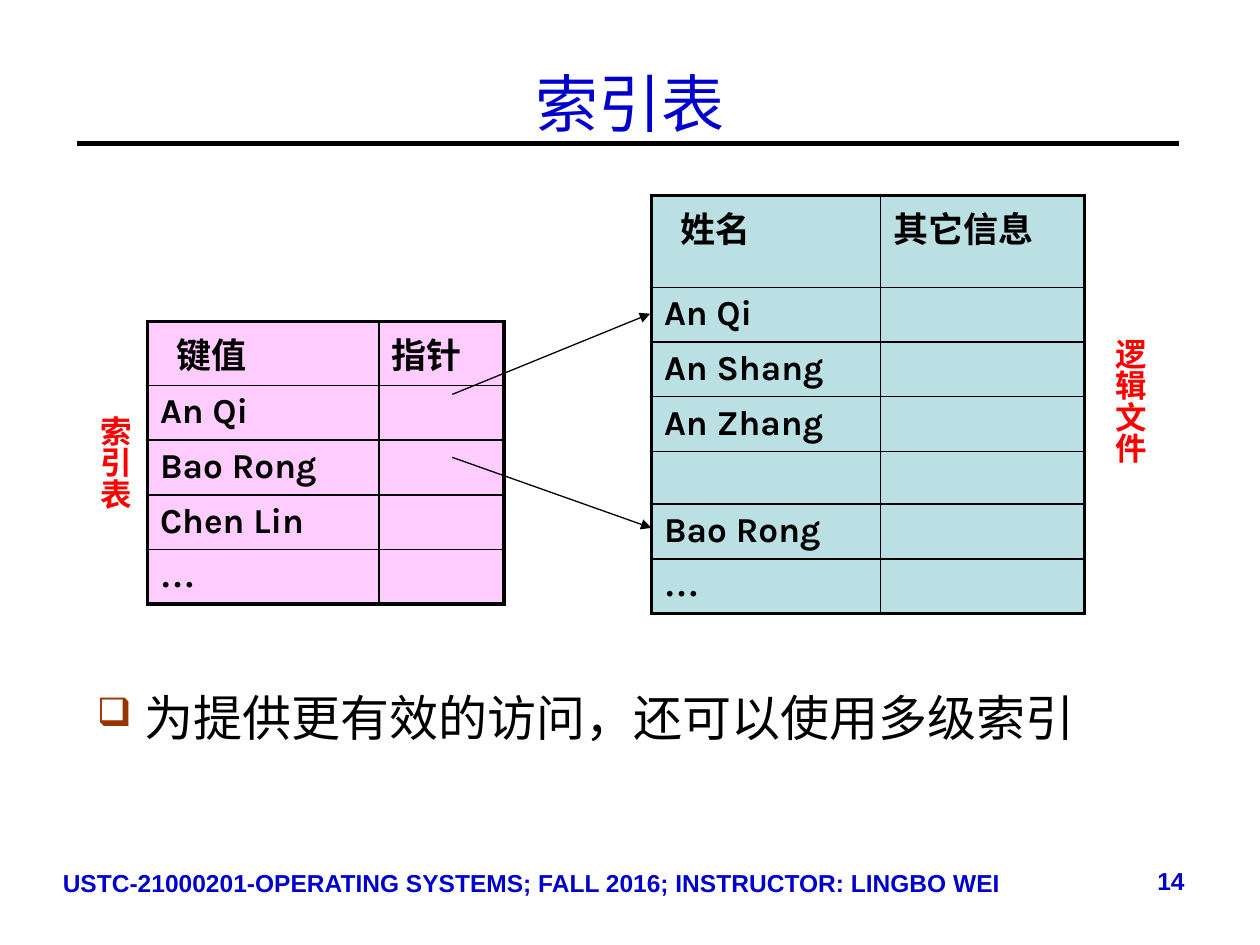
from dataclasses import dataclass

from lxml.etree import SubElement
from pptx import Presentation
from pptx.dml.color import RGBColor
from pptx.enum.shapes import MSO_CONNECTOR as Connector
from pptx.enum.text import MSO_ANCHOR as Anchor, PP_ALIGN as Align
from pptx.oxml import parse_xml
from pptx.oxml.ns import nsdecls, qn
from pptx.util import Inches, Pt

BLACK = RGBColor(0x00, 0x00, 0x00)
BLUE = RGBColor(0x00, 0x00, 0xCC)
RED = RGBColor(0xFF, 0x00, 0x00)
BROWN = RGBColor(0x99, 0x33, 0x00)
PINK = RGBColor(0xFF, 0xCC, 0xFF)
TEAL = RGBColor(0xBB, 0xE0, 0xE3)

THICK, THIN = 2.25, 1
ROW_HEIGHT = 0.42
HEADER_INDENT = 0.23


@dataclass(frozen=True)
class RecordTable:
    left: float
    top: float
    columns: tuple[float, float]
    header_height: float
    headers: tuple[str, str]
    names: tuple[str, ...]
    fill: RGBColor


@dataclass(frozen=True)
class Line:
    start: tuple[float, float]
    end: tuple[float, float]
    width: float
    arrow: bool = False


TABLES = (
    RecordTable(1.17, 2.55, (1.84, 0.99), 0.51, ("键值", "指针"),
                ("An Qi", "Bao Rong", "Chen Lin", "…"), PINK),
    RecordTable(5.17, 1.55, (1.82, 1.62), 0.73, ("姓名", "其它信息"),
                ("An Qi", "An Shang", "An Zhang", "", "Bao Rong", "…"), TEAL),
)
TITLE_RULE = Line((0.61, 1.14), (9.36, 1.14), 3)
POINTERS = (
    Line((3.59, 3.13), (5.16, 2.49), 0.75, arrow=True),
    Line((3.59, 3.63), (5.17, 4.19), 0.75, arrow=True),
)


def write(para, text: str, *, size: float, font: str, color: RGBColor = BLACK,
          bold: bool = False, align=Align.LEFT, before: float = 0) -> None:
    para.alignment = align
    para.space_before = Pt(before)
    span = para.add_run()
    span.text = text
    span.font.size = Pt(size)
    span.font.name = font
    span.font.bold = bold
    span.font.color.rgb = color


def add_text(slide, left: float, top: float, width: float, height: float, text: str,
             *, anchor=Anchor.TOP, vertical: bool = False, **style):
    """Add a one-paragraph text box and return its paragraph."""
    box = slide.shapes.add_textbox(Inches(left), Inches(top), Inches(width), Inches(height))
    frame = box.text_frame
    frame.word_wrap = not vertical
    frame.vertical_anchor = anchor
    if vertical:
        frame._txBody.bodyPr.set("vert", "eaVert")
    para = frame.paragraphs[0]
    write(para, text, **style)
    return para


def add_bullet(para, mark: str, color: RGBColor, percent: int, indent: float) -> None:
    props = para._p.get_or_add_pPr()
    props.set("marL", str(Inches(indent)))
    props.set("indent", str(-Inches(indent)))
    SubElement(SubElement(props, qn("a:buClr")), qn("a:srgbClr"), val=str(color))
    SubElement(props, qn("a:buSzPct"), val=str(percent * 1000))
    SubElement(props, qn("a:buChar"), char=mark)


def add_line(slide, line: Line) -> None:
    connector = slide.shapes.add_connector(
        Connector.STRAIGHT, *map(Inches, line.start), *map(Inches, line.end))
    connector.line.color.rgb = BLACK
    connector.line.width = Pt(line.width)
    if line.arrow:
        SubElement(connector.line._get_or_add_ln(), qn("a:tailEnd"), type="triangle")
    SubElement(connector._element.spPr, qn("a:effectLst"))


def set_borders(cell, **widths: float) -> None:
    """Draw black cell borders; sides come in the schema order L, R, T, B."""
    props = cell._tc.get_or_add_tcPr()
    for place, (side, width) in enumerate(widths.items()):
        props.insert(place, parse_xml(
            f'<a:ln{side} {nsdecls("a")} w="{Pt(width)}"><a:solidFill>'
            f'<a:srgbClr val="{BLACK}"/></a:solidFill></a:ln{side}>'))


def add_record_table(slide, record: RecordTable) -> None:
    rows = [record.headers, *((name, "") for name in record.names)]
    heights = [record.header_height] + [ROW_HEIGHT] * len(record.names)
    table = slide.shapes.add_table(
        len(rows), len(record.columns), Inches(record.left), Inches(record.top),
        Inches(sum(record.columns)), Inches(sum(heights))).table
    table.first_row = table.horz_banding = False
    for column, width in zip(table.columns, record.columns):
        column.width = Inches(width)
    last_row, last_column = len(rows) - 1, len(record.columns) - 1
    for r, (texts, height) in enumerate(zip(rows, heights)):
        table.rows[r].height = Inches(height)
        for c, text in enumerate(texts):
            cell = table.cell(r, c)
            cell.fill.solid()
            cell.fill.fore_color.rgb = record.fill
            set_borders(cell,
                        L=THICK if c == 0 else THIN,
                        R=THICK if c == last_column else THIN,
                        T=THICK if r == 0 else THIN,
                        B=THICK if r == last_row else THIN)
            if r == c == 0:
                cell.margin_left = Inches(HEADER_INDENT)
            if text:
                font = "Times New Roman" if text == "…" else "Karla"
                write(cell.text_frame.paragraphs[0], text, size=20, font=font,
                      bold=True, before=4)


def main() -> None:
    deck = Presentation()
    deck.slide_width, deck.slide_height = Inches(10), Inches(7.5)
    slide = deck.slides.add_slide(deck.slide_layouts[6])

    add_line(slide, TITLE_RULE)
    add_text(slide, 0.5, 0.19, 9, 1.25, "索引表", anchor=Anchor.MIDDLE,
             size=36, font="Times New Roman", color=BLUE, align=Align.CENTER)
    point = add_text(slide, 0.67, 5.41, 9, 0.65, "为提供更有效的访问，还可以使用多级索引",
                     size=28, font="TeX Gyre Schola", before=5.6)
    add_bullet(point, "❑", BROWN, percent=80, indent=0.38)

    footer = dict(size=14, font="Arial", color=BLUE, bold=True)
    add_text(slide, 0.4, 6.84, 7.88, 0.52,
             "USTC-21000201-OPERATING SYSTEMS; FALL 2016; INSTRUCTOR: LINGBO WEI", **footer)
    add_text(slide, 8.49, 6.82, 1.01, 0.52, "14", align=Align.RIGHT, **footer)

    for record in TABLES:
        add_record_table(slide, record)
    for pointer in POINTERS:
        add_line(slide, pointer)

    label = dict(vertical=True, size=18, font="Arial", color=RED, bold=True)
    add_text(slide, 0.61, 3.2, 0.5, 0.85, "索引表", **label)
    add_text(slide, 8.67, 2.59, 0.5, 1.1, "逻辑文件", **label)

    deck.save("out.pptx")


if __name__ == "__main__":
    main()
